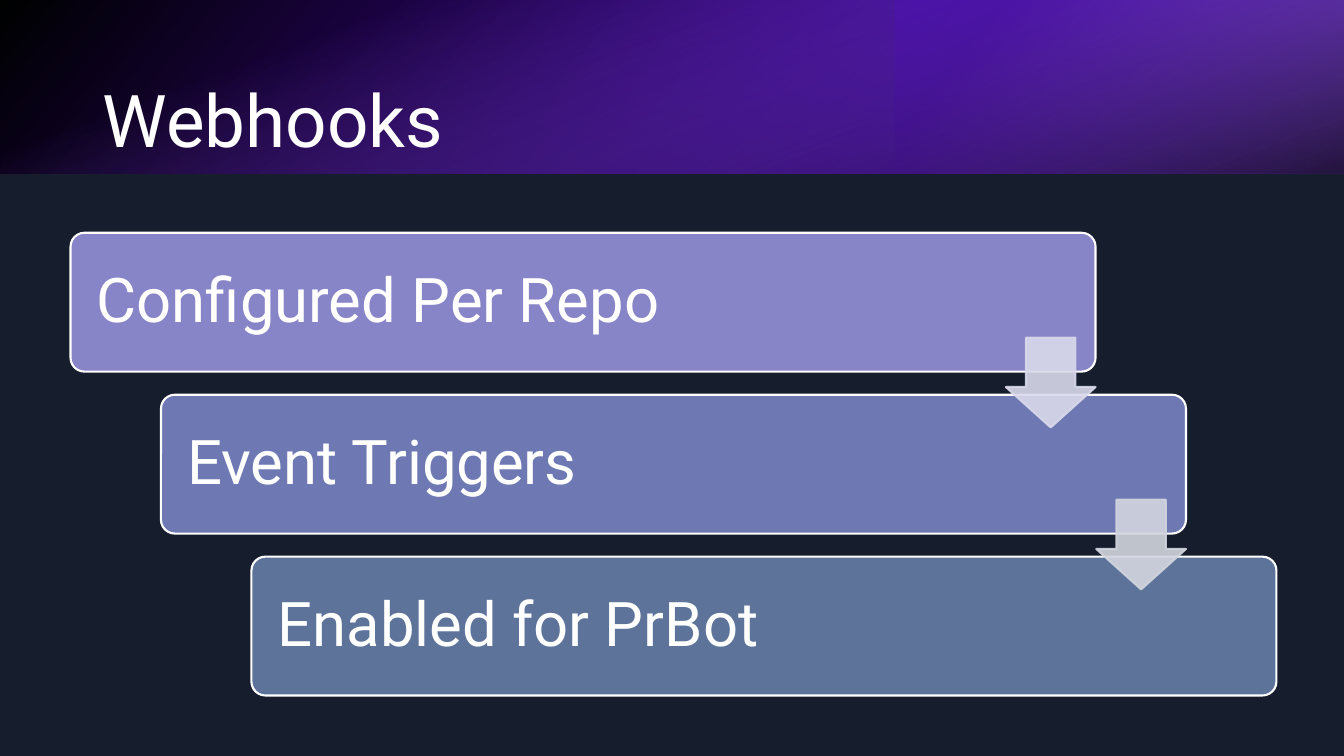
from lxml import etree
from pptx import Presentation
from pptx.dml.color import RGBColor
from pptx.enum.shapes import MSO_SHAPE
from pptx.enum.text import MSO_ANCHOR, PP_ALIGN
from pptx.oxml.ns import qn
from pptx.util import Inches, Pt

RECTANGLE = MSO_SHAPE.RECTANGLE
ROUNDED = MSO_SHAPE.ROUNDED_RECTANGLE
DOWN_ARROW = MSO_SHAPE.DOWN_ARROW
MIDDLE = MSO_ANCHOR.MIDDLE
LEFT = PP_ALIGN.LEFT

FONT = "Roboto"
COLORS = {
    "background": "161E2D",
    "white": "FFFFFF",
    "black": "000000",
    "violet": "6A0DFF",
    "indigo": "4500B2",
    "lilac": "A166FF",
}
# Text, box colour, colour of the arrow to the next step
STEPS = [
    ("Configured Per Repo", "8784C7", "D9D9EB"),
    ("Event Triggers", "6E79B3", "D2D5DE"),
    ("Enabled for PrBot", "5D739A", None),
]


def add_shape(slide, kind, left, top, width, height):
    shape = slide.shapes.add_shape(
        kind, Inches(left), Inches(top), Inches(width), Inches(height))
    shape.shadow.inherit = False
    return shape


def paint(shape, fill, line):
    shape.fill.solid()
    shape.fill.fore_color.rgb = RGBColor.from_string(fill)
    shape.line.color.rgb = RGBColor.from_string(line)
    shape.line.width = Pt(1.5)


def set_alpha(color, percent):
    etree.SubElement(color, qn("a:alpha"), val=str(percent * 1000))


def add_gradient(shape, stops, angle):
    """Fill with stops of (position, colour, opacity), angle clockwise."""
    shape.line.fill.background()
    gradient = etree.Element(qn("a:gradFill"), rotWithShape="1")
    stop_list = etree.SubElement(gradient, qn("a:gsLst"))
    for position, color, opacity in stops:
        stop = etree.SubElement(stop_list, qn("a:gs"), pos=str(position * 1000))
        rgb = etree.SubElement(stop, qn("a:srgbClr"), val=COLORS[color])
        if opacity < 100:
            set_alpha(rgb, opacity)
    etree.SubElement(gradient, qn("a:lin"), ang=str(angle * 60000), scaled="0")
    shape.element.spPr.find(qn("a:prstGeom")).addnext(gradient)


def write_text(text_frame, text, size):
    text_frame.word_wrap = True
    text_frame.vertical_anchor = MIDDLE
    paragraph = text_frame.paragraphs[0]
    paragraph.alignment = LEFT
    paragraph.line_spacing = 0.9
    run = paragraph.add_run()
    run.text = text
    run.font.name = FONT
    run.font.size = Pt(size)
    run.font.color.rgb = RGBColor.from_string(COLORS["white"])


def add_banner(slide, left, top, width, height):
    """Three layered gradients across the given box."""
    third = width / 3
    base = add_shape(slide, RECTANGLE, left, top, width, height)
    add_gradient(base, [(0, "black", 96), (100, "violet", 100)], 140)

    glow = add_shape(slide, RECTANGLE, left + 2 * third, top, third, height)
    glow.rotation = 180
    add_gradient(glow, [(19, "indigo", 68), (100, "lilac", 79)], 320)

    for shape in (base, glow):
        shape.element.spPr.find(qn("a:xfrm")).set("flipH", "1")

    # A quarter turn swaps width and height around the same centre
    offset = (width - height) / 2
    shade = add_shape(slide, RECTANGLE, left + offset, top - offset, height, width)
    shade.rotation = 90
    add_gradient(shade, [(23, "lilac", 0), (99, "black", 74)], 340)


def add_title(slide, left, top, width, height):
    box = slide.shapes.add_textbox(
        Inches(left), Inches(top), Inches(width), Inches(height))
    write_text(box.text_frame, "Webhooks", 52)


def add_step(slide, text, color, left, top, width, height):
    box = add_shape(slide, ROUNDED, left, top, width, height)
    box.adjustments[0] = 0.1
    paint(box, color, COLORS["white"])
    frame = box.text_frame
    frame.margin_left = frame.margin_right = Inches(0.22)
    write_text(frame, text, 44)


def add_arrow(slide, color, left, top, size):
    arrow = add_shape(slide, DOWN_ARROW, left, top, size, size)
    arrow.adjustments[0] = 0.55
    arrow.adjustments[1] = 0.45
    paint(arrow, color, color)
    for rgb in arrow.element.spPr.iter(qn("a:srgbClr")):
        set_alpha(rgb, 90)


def add_staircase(slide, left, top, width, height):
    """Steps moving down and right, with arrows laid over the joints."""
    step_width, step_height, arrow_size = 0.85 * width, 0.3 * height, 0.89
    shift = (width - step_width) / (len(STEPS) - 1)
    drop = (height - step_height) / (len(STEPS) - 1)
    for index, (text, color, _) in enumerate(STEPS):
        add_step(slide, text, color, left + index * shift, top + index * drop,
                 step_width, step_height)
    for index, (_, _, color) in enumerate(STEPS):
        if color:
            add_arrow(slide, color,
                      left + index * shift + step_width - arrow_size,
                      top + index * drop + 1.04, arrow_size)


def main():
    presentation = Presentation()
    presentation.slide_width = Inches(13.33)
    presentation.slide_height = Inches(7.5)
    slide = presentation.slides.add_slide(presentation.slide_layouts[6])
    slide.background.fill.solid()
    slide.background.fill.fore_color.rgb = RGBColor.from_string(COLORS["background"])

    add_banner(slide, 0, 0, 13.33, 1.72)
    add_staircase(slide, 0.7, 2.31, 11.96, 4.59)
    add_title(slide, 0.92, 0.61, 11.5, 1.24)
    presentation.save("out.pptx")


if __name__ == "__main__":
    main()
